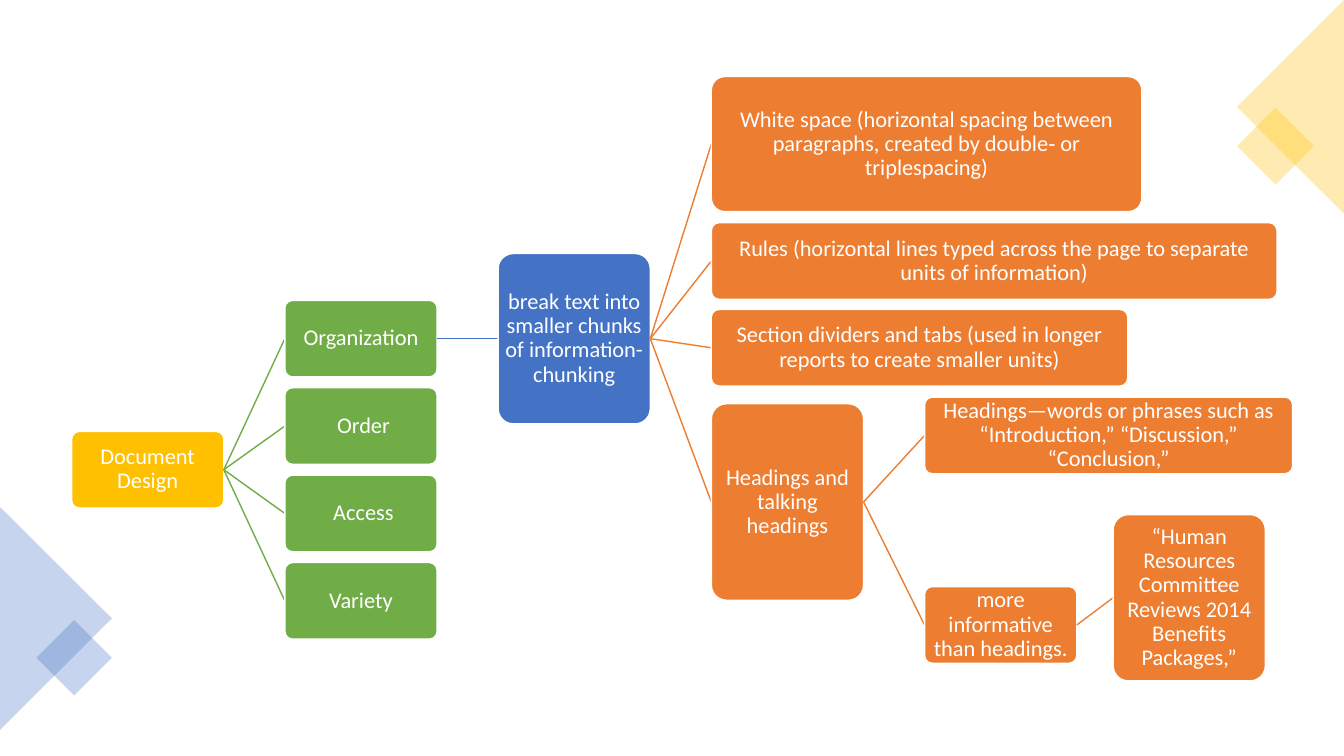
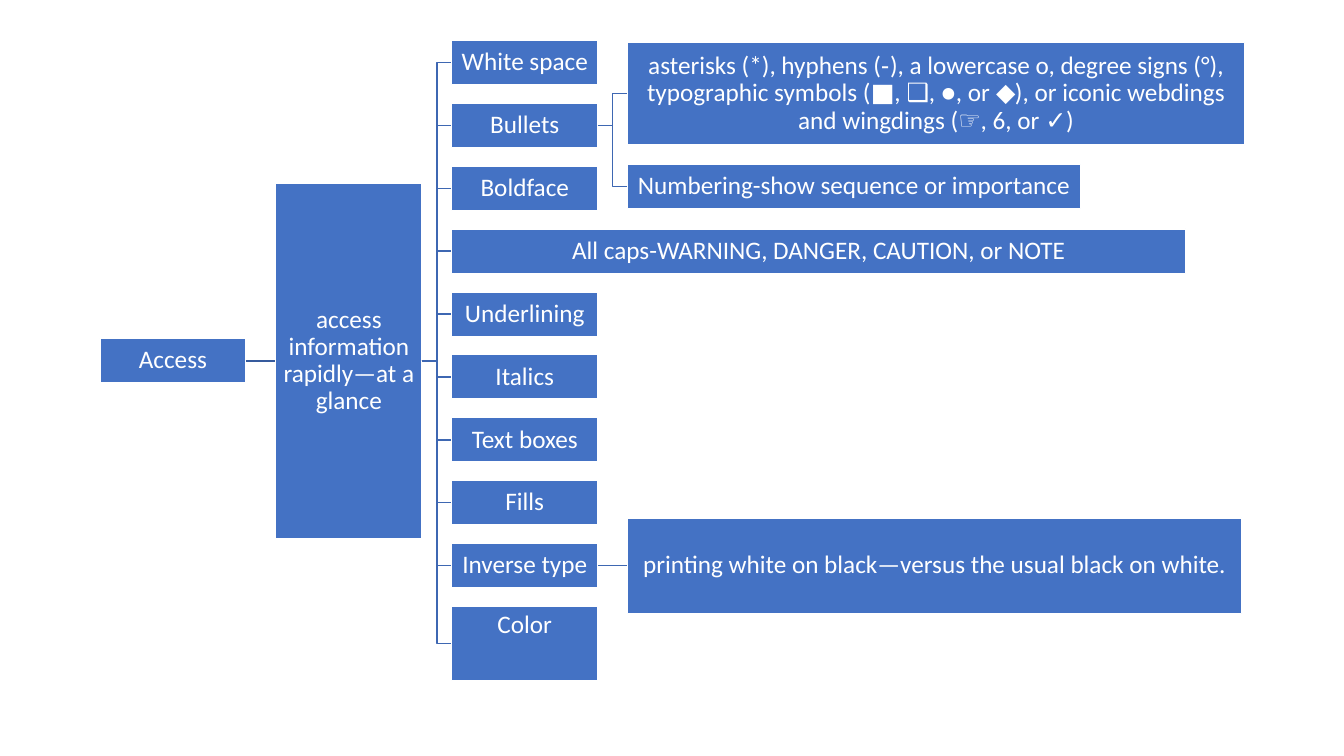
"""Build two tree diagrams about document design and quick access to information."""
from dataclasses import dataclass, field

from lxml import etree
from pptx import Presentation
from pptx.dml.color import RGBColor
from pptx.enum.shapes import MSO_CONNECTOR as CONN, MSO_SHAPE as SHAPE
from pptx.enum.text import MSO_ANCHOR as ANCHOR, PP_ALIGN as ALIGN
from pptx.oxml.ns import qn
from pptx.util import Inches, Pt


@dataclass(frozen=True)
class Theme:
    font: str = "Calibri"
    white: str = "FFFFFF"
    gold: str = "FFC000"
    green: str = "70AD47"
    blue: str = "4472C4"
    orange: str = "ED7D31"
    trunk: str = "365B9D"
    branch: str = "3E67B2"
    design_pt: int = 16
    access_pt: int = 18
    line_pt: int = 1
    line_spacing: float = 0.9
    inset: float = 0.01
    decor_alpha: int = 30


T = Theme()


@dataclass
class Node:
    text: str
    cy: float
    w: float
    h: float
    color: str
    children: list = field(default_factory=list)
    x: float | None = None
    line: str | None = None
    bottom: float = T.inset


@dataclass
class Tree:
    shape: int
    elbow: int
    size: int
    left: float
    step: float
    root: Node


DECOR = [
    (SHAPE.RECTANGLE, 12.38, 1.18, 0.54, 0.54, 45, T.gold),
    (SHAPE.ISOSCELES_TRIANGLE, 11.74, 0.53, 2.12, 1.06, 270, T.gold),
    (SHAPE.ISOSCELES_TRIANGLE, -0.55, 5.58, 2.21, 1.11, 90, T.blue),
    (SHAPE.RECTANGLE, 0.47, 6.26, 0.53, 0.53, 45, T.blue),
]


def design(text, cy, color, children=(), w=1.51, h=0.76, x=None):
    return Node(text, cy, w, h, color, list(children), x)


def access(text, cy, children=(), w=1.45, h=0.44, line=T.branch, bottom=T.inset):
    return Node(text, cy, w, h, T.blue, list(children), line=line, bottom=bottom)


EXAMPLE = design("“Human Resources Committee Reviews 2014 Benefits Packages,”",
                 5.93, T.orange, h=1.65, x=11.04)
HEADINGS = [
    design("Headings—words or phrases such as “Introduction,” “Discussion,” “Conclusion,”",
           4.32, T.orange, w=3.65),
    design("more informative than headings.", 6.2, T.orange, [EXAMPLE]),
]
CHUNKS = [
    design("White space (horizontal spacing between paragraphs, created by double‐ or "
           "triplespacing)", 1.43, T.orange, w=4.27, h=1.34),
    design("Rules (horizontal lines typed across the page to separate units of information)",
           2.59, T.orange, w=5.61),
    design("Section dividers and tabs (used in longer reports to create smaller units)",
           3.45, T.orange, w=4.13),
    design("Headings and talking headings", 4.98, T.orange, HEADINGS, h=1.95),
]
CHUNKING = design("break text into smaller chunks of information- chunking",
                  3.36, T.blue, CHUNKS, h=1.69)
PRINCIPLES = [("Organization", [CHUNKING]), (" Order", []), (" Access", []), ("Variety", [])]
DESIGN_TREE = Tree(
    SHAPE.ROUNDED_RECTANGLE, CONN.STRAIGHT, T.design_pt, 0.71, 2.115,
    design("Document Design", 4.66, T.gold,
           [design(text, 3.36 + 0.867 * i, T.green, kids)
            for i, (text, kids) in enumerate(PRINCIPLES)]))

FIRST_ROW, ROW_STEP = 0.62, 0.624
INVERSE_CY = FIRST_ROW + 8 * ROW_STEP
BULLETS = [
    access("asterisks (*), hyphens (‐), a lowercase o, degree signs (°), typographic symbols "
           "(■, ❑, ●, or ◆), or iconic webdings and wingdings (☞, 6, or ✓)",
           0.93, w=6.12, h=1.02),
    access("Numbering-show sequence or importance", 1.85, w=4.49),
]
INVERSE = [access("printing white on black—versus the usual black on white.",
                  INVERSE_CY, w=6.09, h=0.95)]
DEVICES = [
    ("White space", {}),
    ("Bullets", {"children": BULLETS}),
    ("Boldface", {}),
    ("All caps-WARNING, DANGER, CAUTION, or NOTE", {"w": 7.28}),
    ("Underlining", {}),
    ("Italics", {}),
    ("Text boxes", {}),
    ("Fills", {}),
    ("Inverse type", {"children": INVERSE}),
]
DEVICE_NODES = [access(text, FIRST_ROW + ROW_STEP * i, **options)
                for i, (text, options) in enumerate(DEVICES)]
DEVICE_NODES.append(access("Color", 6.385, h=0.73, bottom=0.37))
ACCESS_TREE = Tree(
    SHAPE.RECTANGLE, CONN.ELBOW, T.access_pt, 0.99, 1.745,
    access("Access", 3.58,
           [access("access information rapidly—at a glance", 3.58, DEVICE_NODES,
                   h=3.52, line=T.trunk)]))


def rgb(color):
    return RGBColor.from_string(color)


def add_shape(s, kind, x, y, w, h, color):
    sp = s.shapes.add_shape(kind, Inches(x), Inches(y), Inches(w), Inches(h))
    sp.shadow.inherit = False
    sp.fill.solid()
    sp.fill.fore_color.rgb = rgb(color)
    return sp


def add_decor(s):
    for kind, x, y, w, h, angle, color in DECOR:
        sp = add_shape(s, kind, x, y, w, h, color)
        sp.line.fill.background()
        sp.rotation = angle
        clr = sp.element.spPr.find(".//" + qn("a:srgbClr"))
        etree.SubElement(clr, qn("a:alpha"), val=str(T.decor_alpha * 1000))


def add_box(s, tree, node, x):
    sp = add_shape(s, tree.shape, x, node.cy - node.h / 2, node.w, node.h, node.color)
    if tree.shape == SHAPE.ROUNDED_RECTANGLE:
        sp.adjustments[0] = 0.1
    sp.line.color.rgb = rgb(T.white)
    sp.line.width = Pt(T.line_pt)
    tf = sp.text_frame
    tf.word_wrap = True
    tf.vertical_anchor = ANCHOR.MIDDLE
    tf.margin_left = tf.margin_right = tf.margin_top = Inches(T.inset)
    tf.margin_bottom = Inches(node.bottom)
    p = tf.paragraphs[0]
    p.alignment = ALIGN.CENTER
    p.line_spacing = T.line_spacing
    r = p.add_run()
    r.text = node.text
    r.font.name = T.font
    r.font.size = Pt(tree.size)
    r.font.color.rgb = rgb(T.white)
    return sp


def add_link(s, kind, parent, color):
    link = s.shapes.add_connector(kind, 0, 0, 0, 0)
    link.begin_connect(parent, 3)
    link.line.color.rgb = rgb(color)
    link.line.width = Pt(T.line_pt)
    etree.SubElement(link.element.spPr, qn("a:effectLst"))
    return link


def add_branch(s, tree, node, level=0):
    x = tree.left + tree.step * level if node.x is None else node.x
    box = add_box(s, tree, node, x)
    for child in node.children:
        level_with = abs(child.cy - node.cy) < 0.01
        kind = CONN.STRAIGHT if level_with else tree.elbow
        link = add_link(s, kind, box, child.line or child.color)
        link.end_connect(add_branch(s, tree, child, level + 1), 1)
    return box


def main():
    prs = Presentation()
    prs.slide_width, prs.slide_height = Inches(13.33), Inches(7.5)
    blank = prs.slide_layouts[6]
    s = prs.slides.add_slide(blank)
    add_decor(s)
    add_branch(s, DESIGN_TREE, DESIGN_TREE.root)
    s = prs.slides.add_slide(blank)
    add_branch(s, ACCESS_TREE, ACCESS_TREE.root)
    prs.save("out.pptx")


if __name__ == "__main__":
    main()
